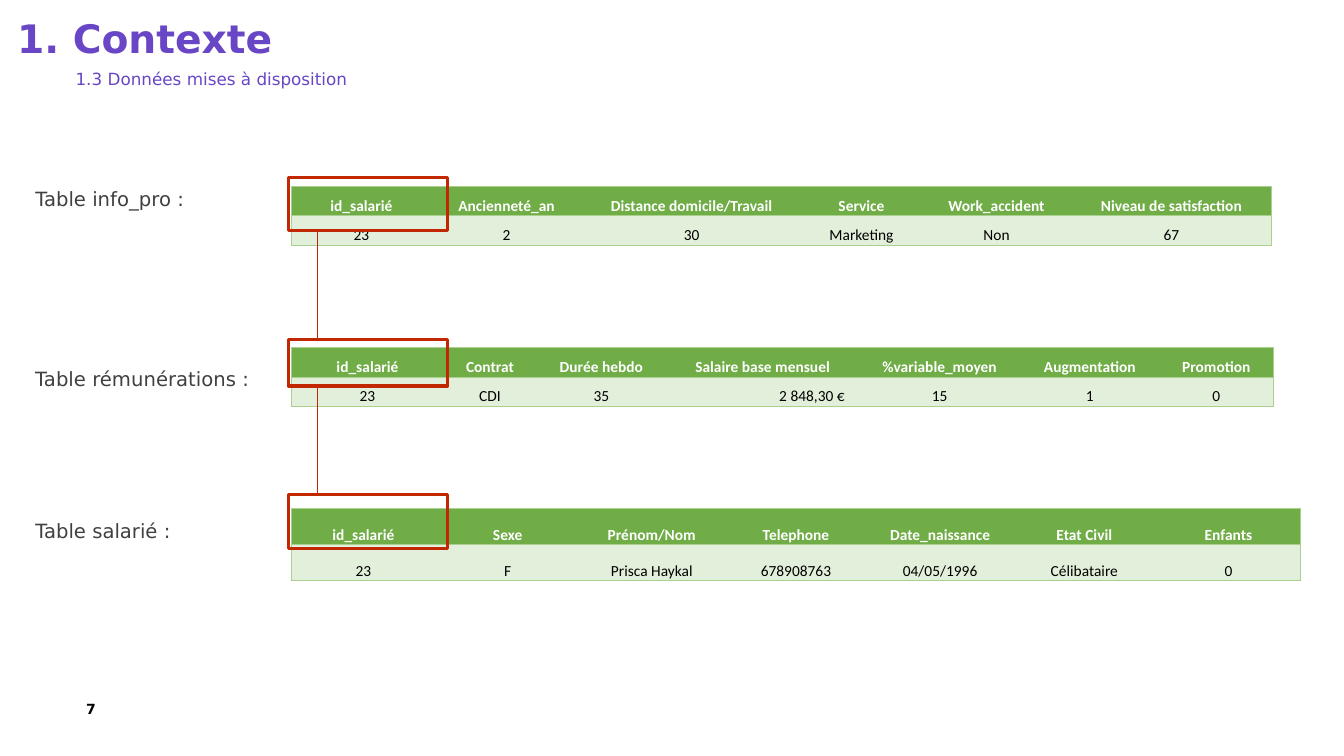
from dataclasses import dataclass

import pptx
import pptx.dml.color
import pptx.enum.shapes
import pptx.enum.text
import pptx.oxml
import pptx.oxml.ns
import pptx.util

ANCHOR = pptx.enum.text.MSO_ANCHOR
ALIGN = pptx.enum.text.PP_ALIGN
AUTO = pptx.enum.text.MSO_AUTO_SIZE


@dataclass(frozen=True)
class Theme:
    text_font: str = "DejaVu Sans"
    table_font: str = "Calibri"
    purple: str = "6846C6"
    grey: str = "404040"
    black: str = "000000"
    white: str = "FFFFFF"
    red: str = "C12700"
    header: str = "70AD47"
    row: str = "E2EFDA"
    border: str = "A9D08E"
    title_size: int = 28
    subtitle_size: int = 12
    label_size: int = 14
    cell_size: int = 11
    number_size: int = 10
    border_width: float = 0.5
    frame_width: float = 2.25
    link_width: float = 1


THEME = Theme()

KEY_LEFT, KEY_WIDTH, LINK_X = 286, 158, 315
KEY_FRAMES = [(176, 53), (337, 46), (491, 53)]
TABLE_LEFT = 289
SALARY = "2 848,30 €"
TABLES = [
    {
        "label": ("Table info_pro :", 185, 158, True),
        "top": 185,
        "height": 29,
        "columns": [139, 149, 218, 119, 149, 198],
        "rows": [
            ["id_salarié", "Ancienneté_an", "Distance domicile/Travail", "Service",
             "Work_accident", "Niveau de satisfaction"],
            ["23", "2", "30", "Marketing", "Non", "67"],
        ],
    },
    {
        "label": ("Table rémunérations :", 364, 230, True),
        "top": 345,
        "height": 29,
        "columns": [151, 92, 129, 191, 160, 138, 113],
        "rows": [
            ["id_salarié", "Contrat", "Durée hebdo", "Salaire base mensuel",
             "%variable_moyen", "Augmentation", "Promotion"],
            ["23", "CDI", "35", SALARY, "15", "1", "0"],
        ],
    },
    {
        "label": ("Table salarié :", 515, 145, False),
        "top": 504,
        "height": 36,
        "columns": [143] * 7,
        "rows": [
            ["id_salarié", "Sexe", "Prénom/Nom", "Telephone", "Date_naissance",
             "Etat Civil", "Enfants"],
            ["23", "F", "Prisca Haykal", "678908763", "04/05/1996", "Célibataire", "0"],
        ],
    },
]


def px(n):
    return pptx.util.Emu(n * 9144)


def rgb(value):
    return pptx.dml.color.RGBColor.from_string(value)


def set_all(target, values):
    for name, value in values.items():
        setattr(target, name, value)


def set_margins(target, left, top, right, bottom):
    set_all(target, {"margin_left": px(left), "margin_top": px(top),
                     "margin_right": px(right), "margin_bottom": px(bottom)})


def write(tf, text, size, color, font=THEME.text_font, bold=False, align=ALIGN.LEFT):
    p = tf.paragraphs[0]
    p.alignment = align
    r = p.add_run()
    r.text = text
    set_all(r.font, {"size": pptx.util.Pt(size), "name": font, "bold": bold})
    r.font.color.rgb = rgb(color)
    return p


def add_title(s, text):
    sp = s.shapes.title
    set_all(sp, {"left": px(17), "top": px(19), "width": px(1194), "height": px(41)})
    tf = sp.text_frame
    set_all(tf, {"vertical_anchor": ANCHOR.TOP, "word_wrap": True, "auto_size": AUTO.NONE})
    set_margins(tf, 0, 0, 0, 0)
    p = write(tf, text, THEME.title_size, THEME.purple, bold=True)
    set_all(p, {"space_before": pptx.util.Pt(6), "line_spacing": 0.9})


def add_text(s, box, text, size, color, wrap=True):
    tf = s.shapes.add_textbox(*map(px, box)).text_frame
    set_all(tf, {"word_wrap": wrap, "auto_size": AUTO.SHAPE_TO_FIT_TEXT})
    set_margins(tf, 0, 0, 0, 0)
    write(tf, text, size, color)


def add_page_number(s, text):
    tf = s.shapes.add_textbox(*map(px, (42, 688, 65, 31))).text_frame
    set_all(tf, {"word_wrap": True, "vertical_anchor": ANCHOR.MIDDLE})
    set_margins(tf, 10, 5, 12, 5)
    write(tf, text, THEME.number_size, THEME.black, bold=True, align=ALIGN.RIGHT)


def set_borders(cell, visible):
    props = cell._tc.get_or_add_tcPr()
    width = pptx.util.Pt(THEME.border_width)
    solid = f'<a:solidFill><a:srgbClr val="{THEME.border}"/></a:solidFill>'
    for i, side in enumerate("LRTB"):
        paint = solid if side in visible else "<a:noFill/>"
        props.insert(i, pptx.oxml.parse_xml(
            f'<a:ln{side} {pptx.oxml.ns.nsdecls("a")} w="{width}">{paint}</a:ln{side}>'))


def fill_cell(cell, text, is_header):
    is_salary = text == SALARY
    cell.vertical_anchor = ANCHOR.BOTTOM
    set_margins(cell, 1, 1, 14 if is_salary else 1, 0)
    cell.fill.solid()
    cell.fill.fore_color.rgb = rgb(THEME.header if is_header else THEME.row)
    write(cell.text_frame, text, THEME.cell_size,
          THEME.white if is_header else THEME.black, THEME.table_font, is_header,
          ALIGN.RIGHT if is_salary else ALIGN.CENTER)


def add_data_table(s, top, height, columns, rows):
    table = s.shapes.add_table(len(rows), len(columns), px(TABLE_LEFT), px(top),
                               px(sum(columns)), px(height * len(rows))).table
    set_all(table, {"first_row": False, "horz_banding": False})
    for column, width in zip(table.columns, columns):
        column.width = px(width)
    last = len(columns) - 1
    for i, row in enumerate(rows):
        table.rows[i].height = px(height)
        for j, text in enumerate(row):
            cell = table.cell(i, j)
            fill_cell(cell, text, i == 0)
            set_borders(cell, "TB" + "L" * (j == 0) + "R" * (j == last))


def style_line(line, width):
    line.color.rgb = rgb(THEME.red)
    line.width = pptx.util.Pt(width)


def add_key_frame(group, top, height):
    sp = group.shapes.add_shape(pptx.enum.shapes.MSO_SHAPE.RECTANGLE,
                                *map(px, (KEY_LEFT, top, KEY_WIDTH, height)))
    sp.shadow.inherit = False
    sp.fill.background()
    style_line(sp.line, THEME.frame_width)


def add_key_link(group, start, end):
    link = group.shapes.add_connector(pptx.enum.shapes.MSO_CONNECTOR.STRAIGHT,
                                      *map(px, (LINK_X, start, LINK_X, end)))
    style_line(link.line, THEME.link_width)
    link._element.spPr.append(pptx.oxml.parse_xml(
        f'<a:effectLst {pptx.oxml.ns.nsdecls("a")}/>'))


def main():
    prs = pptx.Presentation()
    set_all(prs, {"slide_width": px(1333), "slide_height": px(750)})
    s = prs.slides.add_slide(prs.slide_layouts[5])
    add_page_number(s, "7")
    add_title(s, "1. Contexte")
    add_text(s, (75, 68, 383, 20), "1.3 Données mises à disposition",
             THEME.subtitle_size, THEME.purple)
    for data in TABLES:
        add_data_table(s, data["top"], data["height"], data["columns"], data["rows"])
    group = s.shapes.add_group_shape()
    for top, height in KEY_FRAMES:
        add_key_frame(group, top, height)
    for (top, height), (next_top, _) in zip(KEY_FRAMES, KEY_FRAMES[1:]):
        add_key_link(group, top + height, next_top)
    for data in TABLES:
        text, top, width, wrap = data["label"]
        add_text(s, (35, top, width, 24), text, THEME.label_size, THEME.grey, wrap)
    prs.save("out.pptx")


if __name__ == "__main__":
    main()
